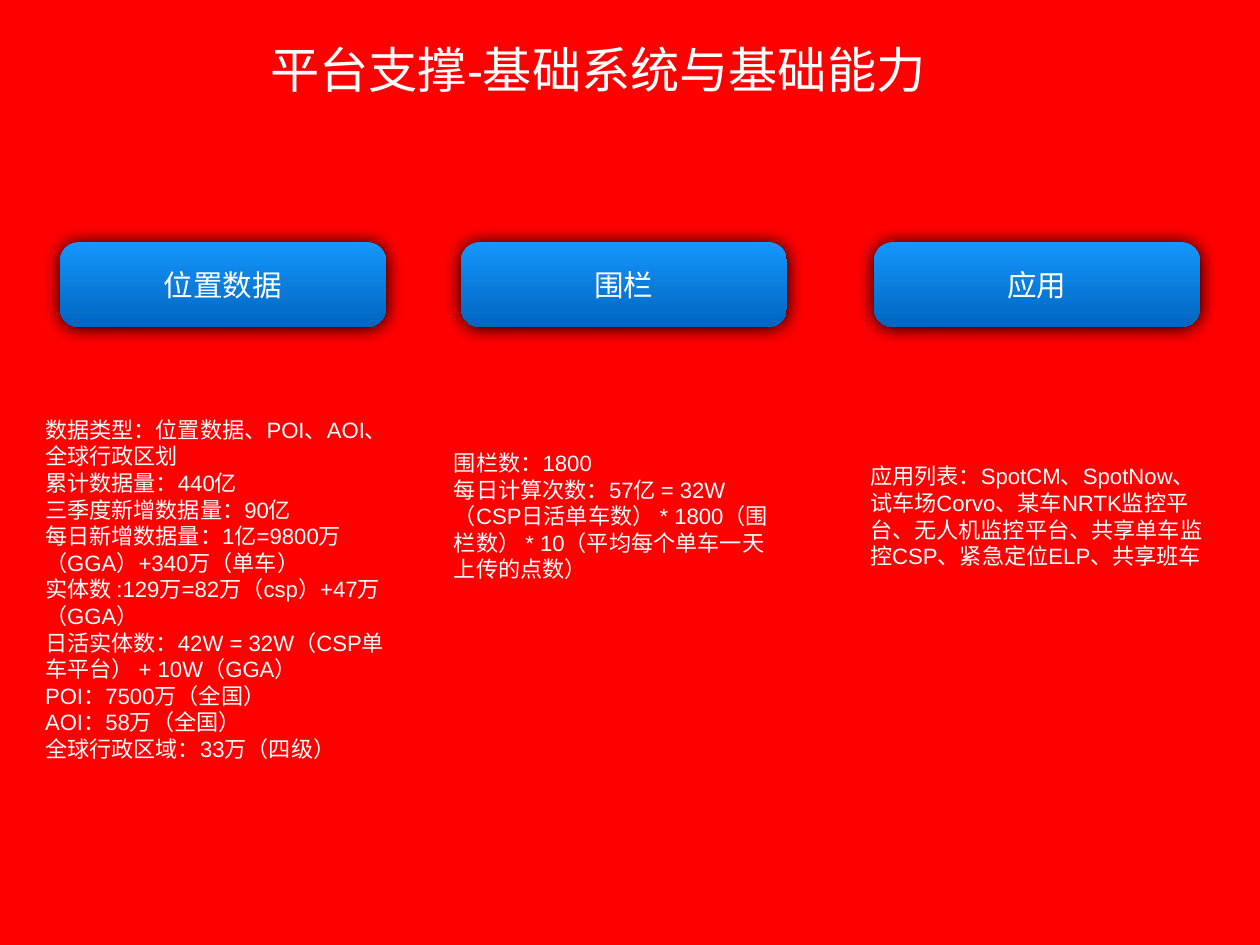
"""Build the platform support slide: three topics with their details."""
from dataclasses import dataclass

from lxml.etree import SubElement
from pptx import Presentation
from pptx.dml.color import RGBColor
from pptx.enum.shapes import MSO_SHAPE
from pptx.enum.text import MSO_ANCHOR, MSO_AUTO_SIZE, PP_ALIGN
from pptx.oxml.ns import qn
from pptx.slide import Slide
from pptx.text.text import TextFrame
from pptx.util import Emu, Pt

SCALE = 10320
RED = RGBColor(0xFF, 0x00, 0x00)
WHITE = RGBColor(0xFF, 0xFF, 0xFF)
SKY = RGBColor(0x15, 0x97, 0xFC)
BLUE = RGBColor(0x00, 0x65, 0xC1)
HEAD_FONT = "Noto Sans"
BODY_FONT = "Arial"


@dataclass(frozen=True)
class Box:
    left: int
    top: int
    width: int
    height: int


@dataclass(frozen=True)
class Topic:
    name: str
    left: int
    note: Box
    lines: tuple[str, ...]


TOPICS = (
    Topic("位置数据", 60, Box(40, 410, 371, 358), (
        "数据类型：位置数据、POI、AOI、全球行政区划",
        "累计数据量：440亿",
        "三季度新增数据量：90亿",
        "每日新增数据量：1亿=9800万（GGA）+340万（单车）",
        "实体数 :129万=82万（csp）+47万（GGA）",
        "日活实体数：42W = 32W（CSP单车平台） + 10W（GGA）",
        "POI：7500万（全国）",
        "AOI：58万（全国）",
        "全球行政区域：33万（四级）",
    )),
    Topic("围栏", 461, Box(449, 444, 338, 144), (
        "围栏数：1800",
        "每日计算次数：57亿 = 32W（CSP日活单车数） * 1800（围栏数）"
        " * 10（平均每个单车一天上传的点数）",
    )),
    Topic("应用", 874, Box(865, 444, 343, 144), (
        "应用列表：SpotCM、SpotNow、试车场Corvo、某车NRTK监控平台、"
        "无人机监控平台、共享单车监控CSP、紧急定位ELP、共享班车",
    )),
)


def px(size: int) -> Emu:
    """Turn pixels into EMU."""
    return Emu(size * SCALE)


def edges(box: Box) -> tuple[Emu, Emu, Emu, Emu]:
    """Give the place and size of a box in EMU."""
    return px(box.left), px(box.top), px(box.width), px(box.height)


def write(frame: TextFrame, lines: tuple[str, ...], font: str,
          size: int, align: PP_ALIGN) -> None:
    """Fill a frame with one paragraph per line."""
    frame.word_wrap = True
    frame.auto_size = MSO_AUTO_SIZE.NONE
    frame.vertical_anchor = MSO_ANCHOR.MIDDLE
    frame.margin_left = frame.margin_right = px(5)
    frame.margin_top = frame.margin_bottom = px(5)
    for row, line in enumerate(lines):
        para = frame.add_paragraph() if row else frame.paragraphs[0]
        para.alignment = align
        run = para.add_run()
        run.text = line
        run.font.name = font
        run.font.size = Pt(size)
        run.font.color.rgb = WHITE


def add_head(slide: Slide, topic: Topic) -> None:
    """Draw the rounded heading of a topic."""
    box = Box(topic.left, 242, 326, 85)
    shape = slide.shapes.add_shape(MSO_SHAPE.ROUNDED_RECTANGLE, *edges(box))
    shape.adjustments[0] = 0.22
    shape.line.fill.background()
    shape.fill.gradient()
    shape.fill.gradient_angle = 270
    for stop, tone in zip(shape.fill.gradient_stops, (SKY, BLUE)):
        stop.color.rgb = tone
    shape.shadow.inherit = False
    effect = shape.element.spPr.find(qn("a:effectLst"))
    shadow = SubElement(effect, qn("a:outerShdw"), blurRad=str(Pt(15)),
                        dist=str(Pt(0.7)), dir="5400000", rotWithShape="0")
    SubElement(shadow, qn("a:srgbClr"), val="000000")
    write(shape.text_frame, (topic.name,), HEAD_FONT, 24, PP_ALIGN.CENTER)


def add_note(slide: Slide, topic: Topic) -> None:
    """Add the details of a topic."""
    note = slide.shapes.add_textbox(*edges(topic.note))
    write(note.text_frame, topic.lines, BODY_FONT, 18, PP_ALIGN.LEFT)


def main() -> None:
    """Build and save the slide."""
    deck = Presentation()
    deck.slide_width, deck.slide_height = px(1260), px(945)
    slide = deck.slides.add_slide(deck.slide_layouts[5])
    slide.background.fill.solid()
    slide.background.fill.fore_color.rgb = RED
    title = slide.shapes.title
    title.left, title.top, title.width, title.height = edges(
        Box(60, 26, 1076, 86))
    write(title.text_frame, ("平台支撑-基础系统与基础能力",),
          HEAD_FONT, 40, PP_ALIGN.CENTER)
    for topic in TOPICS:
        add_head(slide, topic)
        add_note(slide, topic)
    deck.save("out.pptx")


if __name__ == "__main__":
    main()
